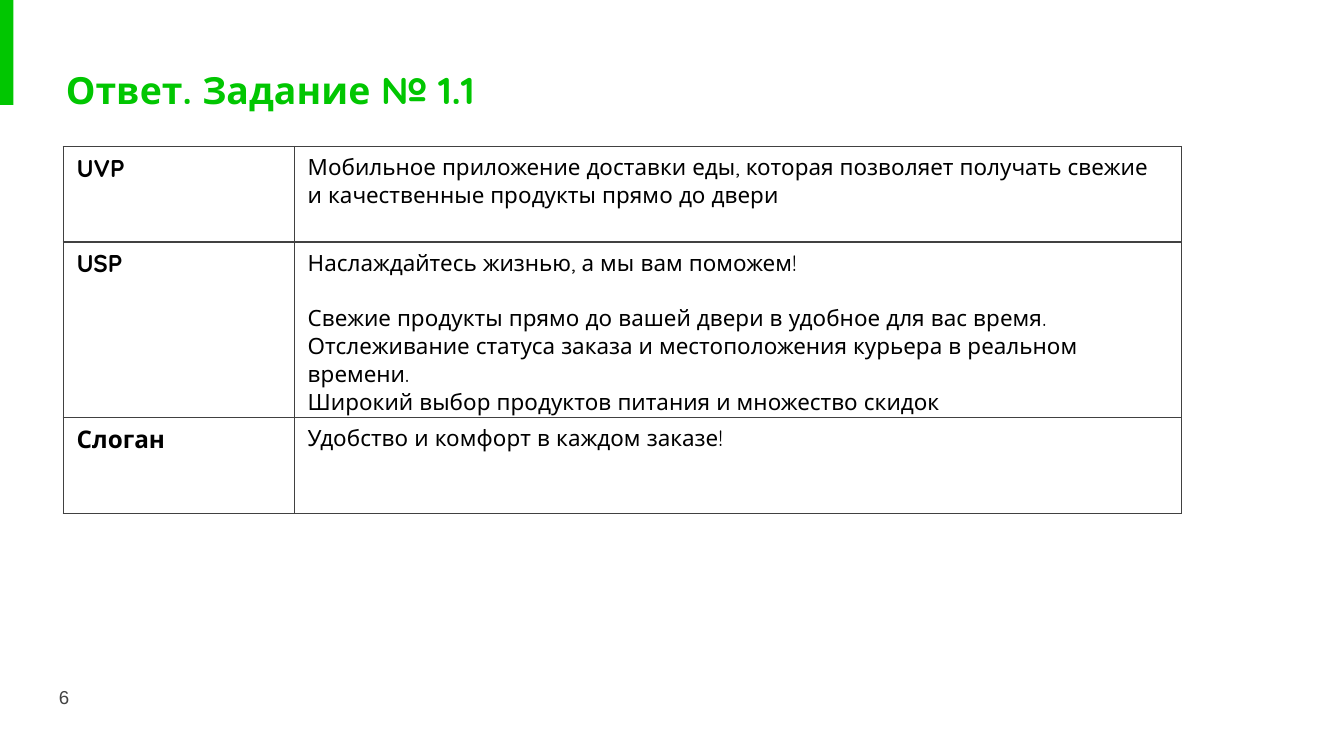
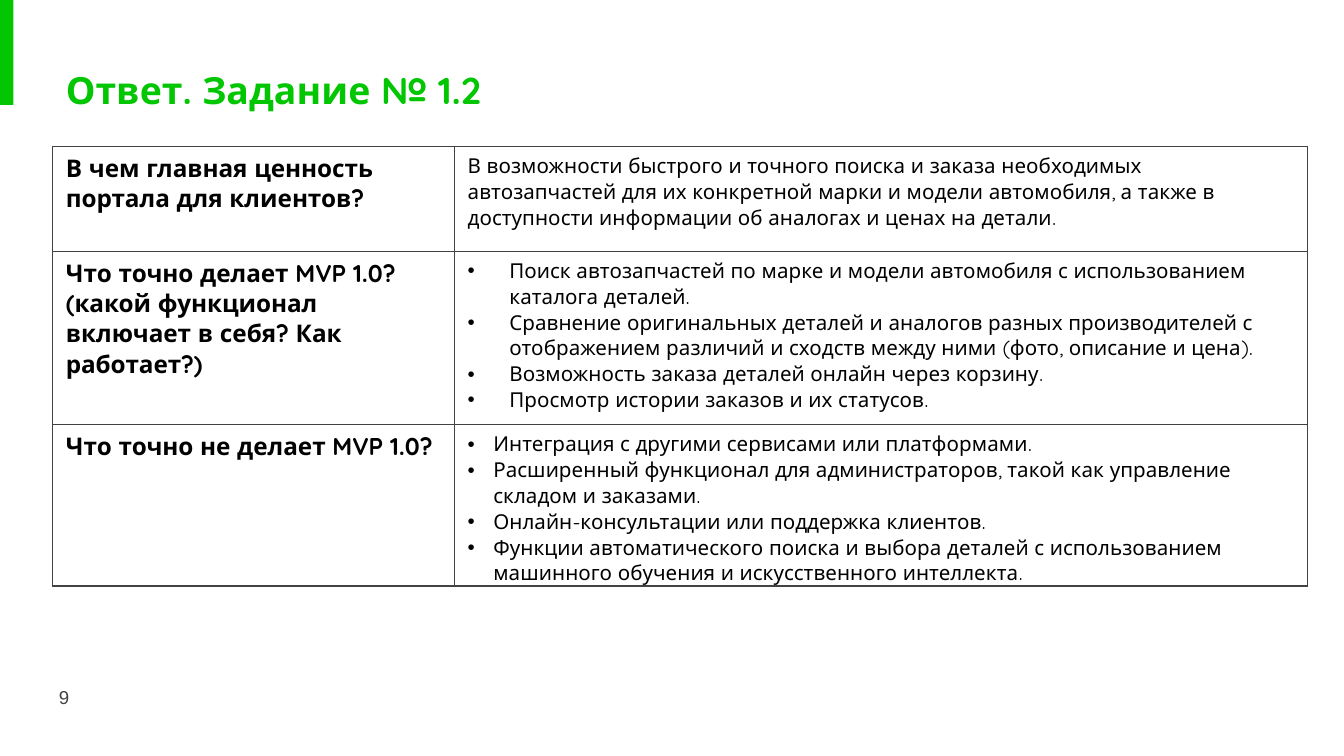
from lxml import etree
from pptx import Presentation
from pptx.dml.color import RGBColor
from pptx.enum.shapes import MSO_SHAPE
from pptx.enum.text import MSO_ANCHOR, MSO_AUTO_SIZE, PP_ALIGN
from pptx.oxml.ns import qn
from pptx.util import Inches, Pt

RECT = MSO_SHAPE.RECTANGLE
MIDDLE = MSO_ANCHOR.MIDDLE
GROW = MSO_AUTO_SIZE.SHAPE_TO_FIT_TEXT
LEFT = PP_ALIGN.LEFT

# Shared look, on a 16:9 slide
W = 10
H = W * 9 / 16
GREEN, BLACK, GREY = "01C601", "000000", "434343"
HEAD_FONT, NUMBER_FONT = "Quicksand", "Arial"
LABEL_SIZE = 13
TABLE_TOP = 1.09

# Content: each row is (label, paragraphs, bullet indent, height);
# "gap_before" names the paragraph preceded by one empty line's space
SLIDES = [
    {
        "title": "Ответ. Задание № 1.1", "number": "6",
        "left": 0.47, "cols": (1.72, 6.6), "size": 12, "border": "414141",
        "gap_before": "Свежие продукты",
        "rows": [
            ("UVP", ["Мобильное приложение доставки еды, которая позволяет получать "
                     "свежие и качественные продукты прямо до двери"], 0, 0.71),
            ("USP", ["Наслаждайтесь жизнью, а мы вам поможем!",
                     "Свежие продукты прямо до вашей двери в удобное для вас время.",
                     "Отслеживание статуса заказа и местоположения курьера в реальном времени.",
                     "Широкий выбор продуктов питания и множество скидок"], 0, 1.29),
            ("Слоган", ["Удобство и комфорт в каждом заказе!"], 0, 0.71),
        ],
    },
    {
        "title": "Ответ. Задание № 1.2", "number": "9",
        "left": 0.39, "cols": (2.99, 6.35), "size": 11, "border": GREY,
        "gap_before": None,
        "rows": [
            ("В чем главная ценность портала для клиентов?",
             ["В возможности быстрого и точного поиска и заказа необходимых автозапчастей "
              "для их конкретной марки и модели автомобиля, а также в доступности "
              "информации об аналогах и ценах на детали."], 0, 0.78),
            ("Что точно делает MVP 1.0? (какой функционал включает в себя? Как работает?)",
             ["Поиск автозапчастей по марке и модели автомобиля с использованием "
              "каталога деталей.",
              "Сравнение оригинальных деталей и аналогов разных производителей с "
              "отображением различий и сходств между ними (фото, описание и цена).",
              "Возможность заказа деталей онлайн через корзину.",
              "Просмотр истории заказов и их статусов."], 0.31, 1.29),
            ("Что точно не делает MVP 1.0?",
             ["Интеграция с другими сервисами или платформами.",
              "Расширенный функционал для администраторов, такой как управление "
              "складом и заказами.",
              "Онлайн-консультации или поддержка клиентов.",
              "Функции автоматического поиска и выбора деталей с использованием "
              "машинного обучения и искусственного интеллекта."], 0.19, 1.2),
        ],
    },
]


def rgb(color):
    return RGBColor.from_string(color)


def style(p, size, color=BLACK, bold=False, font=HEAD_FONT):
    p.alignment = LEFT
    for r in p.runs:
        r.font.name, r.font.size, r.font.bold = font, Pt(size), bold
        r.font.color.rgb = rgb(color)


def inset(tf):
    tf.margin_left = tf.margin_right = Inches(0.1)
    tf.margin_top = tf.margin_bottom = Inches(0.1)
    tf.word_wrap = True


def add_bullet(p, indent):
    pPr = p._p.get_or_add_pPr()
    pPr.set("marL", str(Inches(indent)))
    pPr.set("indent", str(-Inches(indent)))
    color = etree.SubElement(pPr, qn("a:buClr"))
    etree.SubElement(color, qn("a:srgbClr"), val=BLACK)
    etree.SubElement(pPr, qn("a:buFont"), typeface=NUMBER_FONT)
    etree.SubElement(pPr, qn("a:buChar"), char="•")


def border(cell, color):
    tcPr = cell._tc.get_or_add_tcPr()
    for i, side in enumerate(("a:lnL", "a:lnR", "a:lnT", "a:lnB")):
        ln = etree.Element(qn(side), w=str(Pt(0.75)))
        fill = etree.SubElement(ln, qn("a:solidFill"))
        etree.SubElement(fill, qn("a:srgbClr"), val=color)
        tcPr.insert(i, ln)


def add_frame(s, title, number):
    # Green band at the corner
    band = s.shapes.add_shape(RECT, 0, 0, Inches(0.1), Inches(0.78))
    band.shadow.inherit = False
    band.fill.solid()
    band.fill.fore_color.rgb = rgb(GREEN)
    band.line.fill.background()

    # Title
    sp = s.shapes.title
    sp.left, sp.top, sp.width, sp.height = map(Inches, (0.39, 0.4, 4.65, 0.54))
    tf = sp.text_frame
    tf.text = title
    inset(tf)
    tf.vertical_anchor, tf.auto_size = MIDDLE, GROW
    style(tf.paragraphs[0], 20, GREEN, bold=True)

    # Slide number
    tf = s.shapes.add_textbox(*map(Inches, (0.34, 5.02, 0.6, 0.43))).text_frame
    tf.text = number
    inset(tf)
    style(tf.paragraphs[0], 10, GREY, font=NUMBER_FONT)


def add_answers(s, data):
    rows, cols = data["rows"], data["cols"]
    height = sum(row[-1] for row in rows)
    table = s.shapes.add_table(
        len(rows), len(cols), Inches(data["left"]), Inches(TABLE_TOP),
        Inches(sum(cols)), Inches(height)).table
    table.first_row = table.horz_banding = False
    for column, width in zip(table.columns, cols):
        column.width = Inches(width)

    for row, (label, answers, indent, row_height) in zip(table.rows, rows):
        row.height = Inches(row_height)
        label_cell, answer_cell = row.cells
        label_cell.text_frame.text = label
        style(label_cell.text_frame.paragraphs[0], LABEL_SIZE, bold=True)
        answer_cell.text_frame.text = "\n".join(answers)
        for p in answer_cell.text_frame.paragraphs:
            if indent:
                add_bullet(p, indent)
            if data["gap_before"] and p.text.startswith(data["gap_before"]):
                p.space_before = Pt(data["size"] * 1.25)
            style(p, data["size"])
        for cell in row.cells:
            cell.margin_left = cell.margin_right = Inches(0.1)
            cell.margin_top = cell.margin_bottom = Inches(0.05)
            cell.fill.background()
            border(cell, data["border"])


def main():
    prs = Presentation()
    prs.slide_width, prs.slide_height = Inches(W), Inches(H)
    title_only = prs.slide_layouts[5]
    for data in SLIDES:
        s = prs.slides.add_slide(title_only)
        add_frame(s, data["title"], data["number"])
        add_answers(s, data)
    prs.save("out.pptx")


if __name__ == "__main__":
    main()
